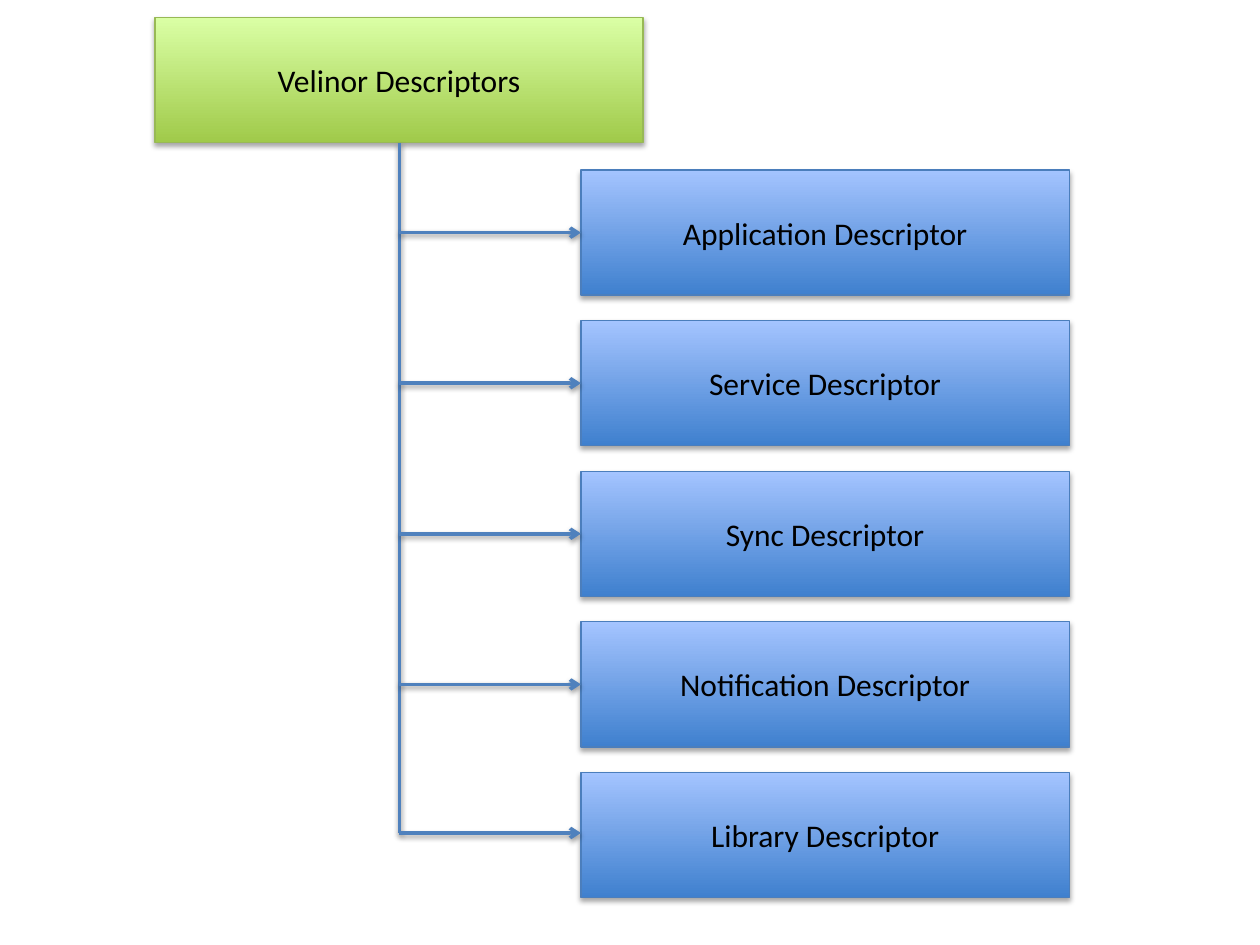
from dataclasses import dataclass

from lxml import etree
from pptx import Presentation
from pptx import util as u
from pptx.dml.color import RGBColor
from pptx.enum import shapes, text
from pptx.oxml import ns

WIDE, HIGH = 279, 71.5
ROOT_X, ROOT_Y = 88.5, 10
LEAF_X, LEAF_Y, STEP = 332, 97.2, 86.05
SPINE_X = 228.2
LINE = "4F81BD"


@dataclass
class Style:
    """Gradient from low to high, and the edge colour."""
    low: str
    high: str
    edge: str


GREEN = Style("A0CA4A", "DAFFA5", "98B955")
BLUE = Style("3F80CE", "A4C4FF", "4B7EBC")
LEAVES = ["Application", "Service", "Sync", "Notification", "Library"]


def tint(color, code: str) -> None:
    """Set a colour from a hex string."""
    color.rgb = RGBColor.from_string(code)


def sub(node, tag: str, **attrs):
    """Add a child element with attributes."""
    return etree.SubElement(node, ns.qn(tag), attrs)


def shade(item, drop: float, alpha: int) -> None:
    """Add a soft shadow straight below."""
    effect = sub(item._element.spPr, "a:effectLst")
    outer = sub(effect, "a:outerShdw", blurRad=str(u.Pt(3.1)),
                dist=str(u.Pt(drop)), dir="5400000", rotWithShape="0")
    black = sub(outer, "a:srgbClr", val="000000")
    sub(black, "a:alpha", val=str(alpha * 1000))


def box(slide, x: float, y: float, label: str, style: Style) -> None:
    """Draw a labelled gradient box."""
    rect = slide.shapes.add_shape(shapes.MSO_SHAPE.RECTANGLE, u.Pt(x),
                                  u.Pt(y), u.Pt(WIDE), u.Pt(HIGH))
    rect.fill.gradient()
    rect.fill.gradient_angle = 90
    for stop, code in zip(rect.fill.gradient_stops, (style.low, style.high)):
        tint(stop.color, code)
    tint(rect.line.color, style.edge)
    rect.line.width = u.Pt(0.75)
    shade(rect, 1.8, 35)
    frame = rect.text_frame
    frame.vertical_anchor = text.MSO_ANCHOR.MIDDLE
    para = frame.paragraphs[0]
    para.alignment = text.PP_ALIGN.CENTER
    run = para.add_run()
    run.text = label
    run.font.name = "Calibri"
    run.font.size = u.Pt(18)
    tint(run.font.color, "000000")


def link(slide, x1: float, y1: float, x2: float, y2: float,
         arrow: bool = True) -> None:
    """Draw a straight line, with an arrowhead if wanted."""
    line = slide.shapes.add_connector(shapes.MSO_CONNECTOR.STRAIGHT, u.Pt(x1),
                                      u.Pt(y1), u.Pt(x2), u.Pt(y2))
    tint(line.line.color, LINE)
    line.line.width = u.Pt(2)
    if arrow:
        sub(line.line._get_or_add_ln(), "a:tailEnd", type="arrow")
    shade(line, 1.6, 38)


def main() -> None:
    """Build and save the slide."""
    deck = Presentation()
    deck.slide_width, deck.slide_height = u.Pt(720), u.Pt(540)
    slide = deck.slides.add_slide(deck.slide_layouts[6])
    tops = [LEAF_Y + STEP * i for i in range(len(LEAVES))]
    mids = [top + HIGH / 2 for top in tops]
    mids[-1] = 476
    box(slide, ROOT_X, ROOT_Y, "Velinor Descriptors", GREEN)
    for name, top in zip(LEAVES, tops):
        box(slide, LEAF_X, top, f"{name} Descriptor", BLUE)
    link(slide, SPINE_X, ROOT_Y + HIGH, SPINE_X, mids[-1], arrow=False)
    for mid in mids:
        link(slide, SPINE_X, mid, LEAF_X, mid)
    deck.save("out.pptx")


main()
